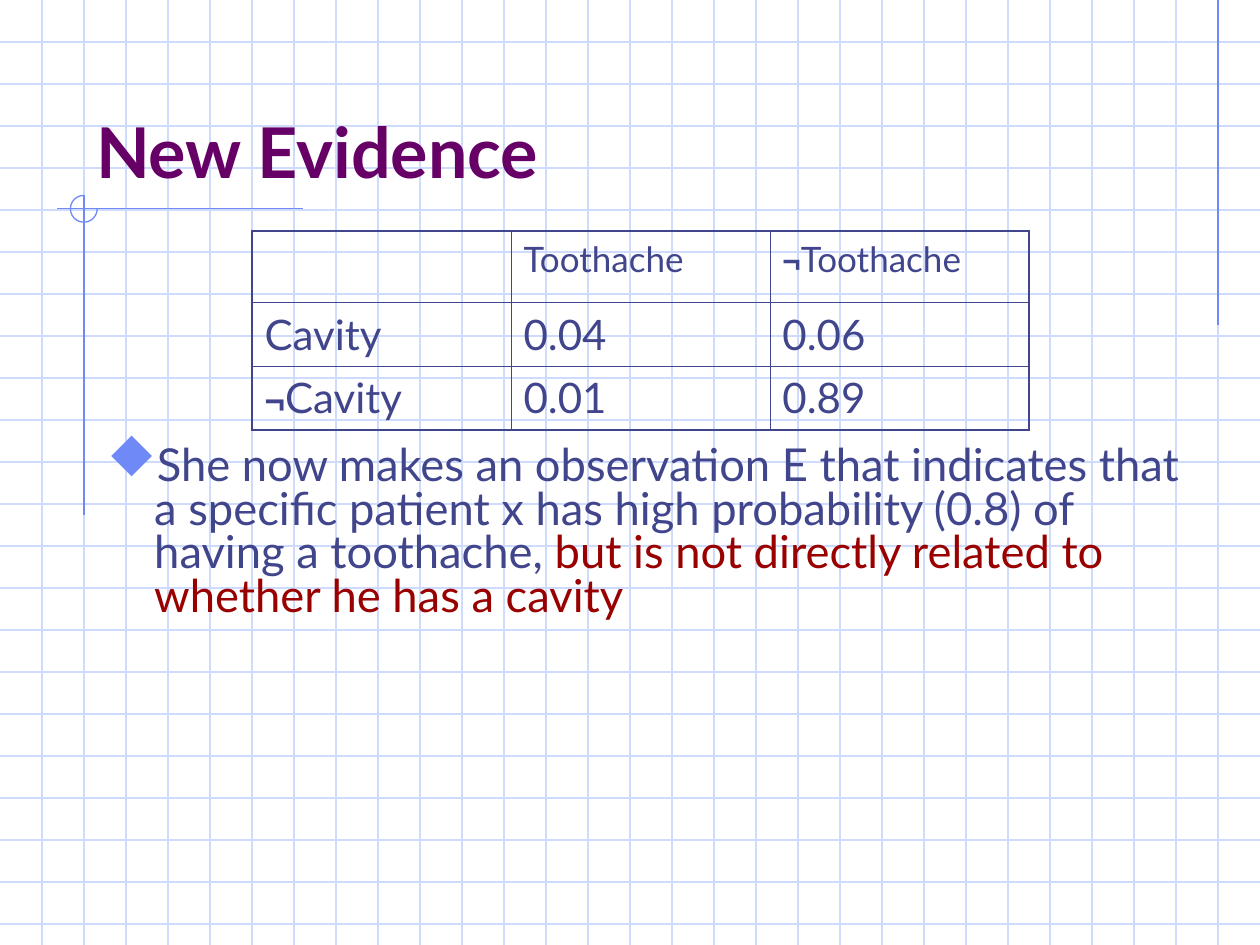
import pptx
import pptx.util
import pptx.dml.color
import pptx.enum.shapes
import pptx.enum.text
import pptx.oxml
import pptx.oxml.ns
from pptx.util import Cm, Pt

INK, RULE, GRID = "40458C", "6F89F7", "CFDBFD"
WIDE, HIGH = 25.4, 19.05
STEP = WIDE / 30

TITLE = [("New Evidence", 40, "Lato", True, "660066")]
BODY = [
    ("She now makes an observation E that indicates that a specific patient x "
     "has high probability (0.8) of having a toothache, ", 25.9, "Lato", False, INK),
    ("but is not directly related to whether he has a cavity",
     25.9, "Lato", False, "990000"),
]
ROWS = [
    {"high": 1.44, "size": 20, "not": 18, "gap": 5,
     "cells": ["", "Toothache", "¬Toothache"]},
    {"high": 1.28, "size": 24, "not": 20, "gap": 6,
     "cells": ["Cavity", "0.04", "0.06"]},
    {"high": 1.29, "size": 24, "not": 20, "gap": 6,
     "cells": ["¬Cavity", "0.01", "0.89"]},
]
COLS = 3
RULES = [
    (29 * STEP, 0, 29 * STEP, 6.55),
    (6.1, 4.21, 1.14, 4.21),
    (2 * STEP, 3.94, 2 * STEP, 10.39),
]


def paint(text):
    return pptx.dml.color.RGBColor.from_string(text)


def node(parent, tag, **attrs):
    item = pptx.oxml.parse_xml(f"<{tag} {pptx.oxml.ns.nsdecls('a')}/>")
    for key, value in attrs.items():
        item.set(key, str(value))
    parent.append(item)
    return item


def draw_line(slide, ends, color):
    kind = pptx.enum.shapes.MSO_CONNECTOR.STRAIGHT
    line = slide.shapes.add_connector(kind, *[Cm(end) for end in ends])
    line.line.color.rgb = paint(color)
    line.line.width = Pt(0.75)
    node(line._element.spPr, "a:effectLst")


def add_runs(para, runs):
    for text, size, face, bold, color in runs:
        run = para.add_run()
        run.text = text
        run.font.size = Pt(size)
        run.font.name = face
        run.font.bold = bold
        run.font.color.rgb = paint(color)


def add_text(slide, spot, runs, anchor):
    frame = slide.shapes.add_textbox(*[Cm(part) for part in spot]).text_frame
    frame.word_wrap = True
    frame.vertical_anchor = anchor
    add_runs(frame.paragraphs[0], runs)
    return frame.paragraphs[0]


def add_edge(cell, side, width):
    edge = node(cell._tc.get_or_add_tcPr(), f"a:ln{side}", w=Pt(width))
    node(node(edge, "a:solidFill"), "a:srgbClr", val=INK)


def add_grid(slide):
    high = sum(row["high"] for row in ROWS)
    frame = slide.shapes.add_table(len(ROWS), COLS, Cm(5.08), Cm(4.66),
                                   Cm(15.66), Cm(high))
    table = frame.table
    table.first_row = table.horz_banding = False
    for r, row in enumerate(ROWS):
        table.rows[r].height = Cm(row["high"])
        for c, text in enumerate(row["cells"]):
            cell = table.cell(r, c)
            outer = {"L": c == 0, "R": c == COLS - 1,
                     "T": r == 0, "B": r == len(ROWS) - 1}
            for side, thick in outer.items():
                add_edge(cell, side, 1.08 if thick else 0.45)
            cell.fill.background()
            para = cell.text_frame.paragraphs[0]
            para.space_before = Pt(row["gap"])
            runs = []
            if text.startswith("¬"):
                runs.append(("¬", row["not"], "Arial", True, INK))
            if text:
                runs.append((text.lstrip("¬"), row["size"], "Lato", False, INK))
            add_runs(para, runs)


def main():
    deck = pptx.Presentation()
    deck.slide_width, deck.slide_height = Cm(WIDE), Cm(HIGH)
    slide = deck.slides.add_slide(deck.slide_layouts[6])

    for n in range(1, 23):
        draw_line(slide, (0, n * STEP, WIDE, n * STEP), GRID)
    for n in range(1, 30):
        draw_line(slide, (n * STEP, 0, n * STEP, HIGH), GRID)
    for ends in RULES:
        draw_line(slide, ends, RULE)

    arc = slide.shapes.add_shape(pptx.enum.shapes.MSO_SHAPE.ARC,
                                 Cm(1.42), Cm(3.94), Cm(0.54), Cm(0.54))
    arc.adjustments[0], arc.adjustments[1] = 0, 162
    arc.shadow.inherit = False
    arc.fill.background()
    arc.line.color.rgb = paint(RULE)
    arc.line.width = Pt(0.75)

    add_grid(slide)

    anchor = pptx.enum.text.MSO_ANCHOR
    para = add_text(slide, (1.91, 8.88, 22.23, 5.27), BODY, anchor.TOP)
    para.line_spacing = 0.8
    props = para._p.get_or_add_pPr()
    props.set("marL", str(Cm(0.95)))
    props.set("indent", str(-Cm(0.95)))
    node(node(props, "a:buClr"), "a:srgbClr", val=RULE)
    node(props, "a:buSzPct", val=110000)
    node(props, "a:buFont", typeface="Wingdings", pitchFamily=2, charset=2)
    node(props, "a:buChar", char="u")

    add_text(slide, (1.69, 0.83, 21.59, 3.17), TITLE, anchor.BOTTOM)
    deck.save("out.pptx")


if __name__ == "__main__":
    main()
